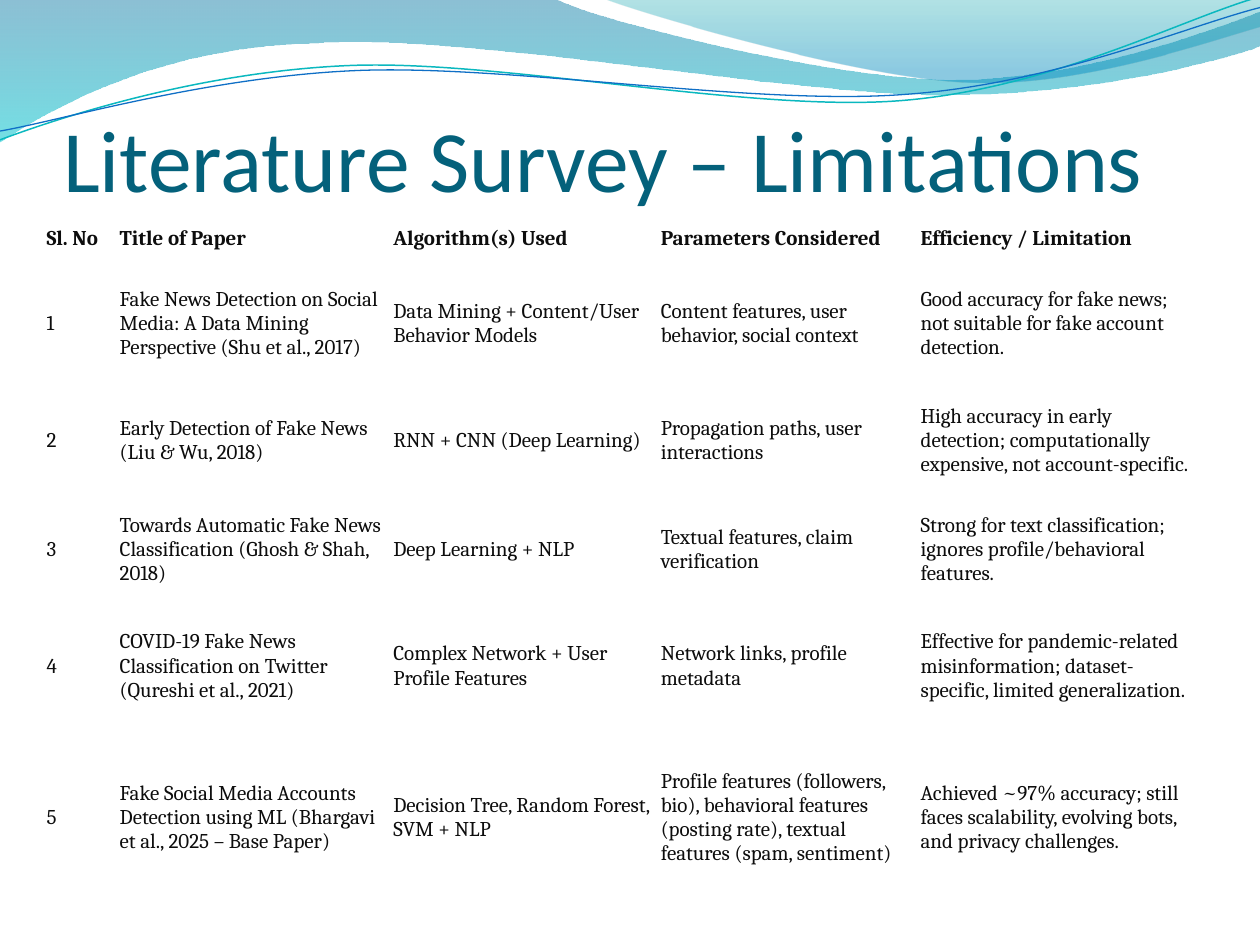
from math import cos, radians, sin

from lxml import etree
from pptx import Presentation
from pptx.dml.color import RGBColor
from pptx.enum.text import MSO_ANCHOR, MSO_AUTO_SIZE, PP_ALIGN
from pptx.oxml.ns import qn
from pptx.util import Inches, Pt

MIDDLE, BOTTOM = MSO_ANCHOR.MIDDLE, MSO_ANCHOR.BOTTOM
LEFT = PP_ALIGN.LEFT
NO_FIT = MSO_AUTO_SIZE.NONE

TITLE_TEAL = RGBColor(0x04, 0x61, 0x7B)
INK = RGBColor(0x0D, 0x0D, 0x0D)
DEEP_BLUE = RGBColor(0x00, 0x74, 0xA1)
TURQUOISE = RGBColor(0x00, 0xC6, 0xCF)
TEAL = RGBColor(0x00, 0xA1, 0xA9)
SKY = RGBColor(0x00, 0x8B, 0xBF)
LINE_TEAL = RGBColor(0x0A, 0xB8, 0xBF)
LINE_BLUE = RGBColor(0x0F, 0x6F, 0xC6)

STRAND_TILT = -2.7
STRAND_CENTER = (4.99, 0.58)

# Each outline is a start point, then line ends (2 numbers) or Bezier curves (6)
BROAD_WAVE = [
    (0, 0), (4.4, -0.01),
    (4.76, 0.17, 6.64, 0.63, 7.58, 0.63), (8.53, 0.63, 9.58, 0.26, 10, 0.09),
    (10.01, 0.36),
    (9.83, 0.44, 8.7, 0.76, 7.46, 0.75), (6.22, 0.75, 3.82, 0.28, 2.57, 0.34),
    (1.29, 0.36, 0.46, 0.83, -0.01, 1.13),
]
RIGHT_WAVE = [
    (4.79, -0.01),
    (5.09, 0.11, 6.82, 0.62, 7.69, 0.65), (8.56, 0.69, 9.61, 0.32, 10, 0.21),
    (10, 0),
]
TEAL_STRAND = [
    (0, 1.11),
    (0.48, 0.93, 1.58, 0.57, 2.77, 0.52), (3.95, 0.47, 5.93, 0.89, 7.13, 0.8),
    (8.33, 0.71, 9.38, 0.15, 9.98, -0.02),
]
BLUE_STRAND = [
    (0, 1.04),
    (0.47, 0.96, 1.64, 0.61, 2.83, 0.56), (4.03, 0.51, 5.97, 0.84, 7.17, 0.75),
    (8.36, 0.67, 9.41, 0.21, 10, 0.06),
]

COLUMN_WIDTHS = [0.58, 2.17, 2.12, 2.06, 2.23]
ROW_HEIGHTS = [0.45, 0.9, 0.96, 0.78, 1.07, 1.34]
SURVEY = [
    ["Sl. No", "Title of Paper", "Algorithm(s) Used", "Parameters Considered",
     "Efficiency / Limitation"],
    ["1", "Fake News Detection on Social Media: A Data Mining Perspective (Shu et al., 2017)",
     "Data Mining + Content/User Behavior Models",
     "Content features, user behavior, social context",
     "Good accuracy for fake news; not suitable for fake account detection."],
    ["2", "Early Detection of Fake News (Liu & Wu, 2018)",
     "RNN + CNN (Deep Learning)",
     "Propagation paths, user interactions",
     "High accuracy in early detection; computationally expensive, not account-specific."],
    ["3", "Towards Automatic Fake News Classification (Ghosh & Shah, 2018)",
     "Deep Learning + NLP",
     "Textual features, claim verification",
     "Strong for text classification; ignores profile/behavioral features."],
    ["4", "COVID-19 Fake News Classification on Twitter (Qureshi et al., 2021)",
     "Complex Network + User Profile Features",
     "Network links, profile metadata",
     "Effective for pandemic-related misinformation; dataset-specific, "
     "limited generalization."],
    ["5", "Fake Social Media Accounts Detection using ML (Bhargavi et al., 2025 – Base Paper)",
     "Decision Tree, Random Forest, SVM + NLP",
     "Profile features (followers, bio), behavioral features (posting rate), "
     "textual features (spam, sentiment)",
     "Achieved ~97% accuracy; still faces scalability, evolving bots, "
     "and privacy challenges."],
]


def write_text(tf, text, *, size, font, color, bold=False):
    tf.word_wrap = True
    p = tf.paragraphs[0]
    p.alignment = LEFT
    r = p.add_run()
    r.text = text
    r.font.size = Pt(size)
    r.font.name = font
    r.font.bold = bold
    r.font.color.rgb = color


def level_point(x, y, tilt):
    """Turn a point back by the tilt its shape will be given."""
    angle = radians(-tilt)
    cx, cy = STRAND_CENTER
    dx, dy = x - cx, y - cy
    return (Inches(cx + dx * cos(angle) - dy * sin(angle)),
            Inches(cy + dx * sin(angle) + dy * cos(angle)))


def add_outline(s, outline, left, top, closed, tilt=0):
    start, *rest = [level_point(*segment[i:i + 2], tilt)
                    for segment in outline for i in range(0, len(segment), 2)]
    builder = s.shapes.build_freeform(*start)
    builder.add_line_segments(rest, close=closed)
    sp = builder.convert_to_shape(left, top)
    sp.shadow.inherit = False
    sp.rotation = tilt
    # Join every three points of a curve into one Bezier segment
    lines = iter(list(sp.element.iter(qn("a:lnTo"))))
    for segment in outline[1:]:
        first = next(lines)
        if len(segment) == 6:
            curve = etree.Element(qn("a:cubicBezTo"))
            first.addprevious(curve)
            for line in (first, next(lines), next(lines)):
                curve.append(line[0])
                line.getparent().remove(line)
    return sp


def add_wave(s, outline, left, top, stops):
    sp = add_outline(s, outline, left, top, True)
    sp.line.fill.background()
    sp.fill.gradient()
    sp.fill.gradient_angle = 270
    for stop, (position, color, opacity) in zip(sp.fill.gradient_stops, stops):
        stop.position = position
        stop.color.rgb = color
    # Opacity of each gradient stop
    for clr, (_, _, opacity) in zip(sp.element.iter(qn("a:srgbClr")), stops):
        etree.SubElement(clr, qn("a:alpha"), val=str(opacity * 1000))


def add_strand(s, outline, left, top, color, width):
    sp = add_outline(s, outline, left, top, False, STRAND_TILT)
    sp.fill.background()
    sp.line.color.rgb = color
    sp.line.width = Pt(width)


def add_ribbon(s, left, top):
    add_wave(s, BROAD_WAVE, left, top, [(0, DEEP_BLUE, 45), (1, TURQUOISE, 55)])
    add_wave(s, RIGHT_WAVE, left, top, [(0, TEAL, 30), (0.8, SKY, 45)])
    add_strand(s, TEAL_STRAND, left, top, LINE_TEAL, 0.85)
    add_strand(s, BLUE_STRAND, left, top, LINE_BLUE, 0.75)


def add_title(s, left, top, width, height):
    title = s.shapes.title
    title.left, title.top, title.width, title.height = left, top, width, height
    tf = title.text_frame
    tf.auto_size = NO_FIT
    tf.vertical_anchor = BOTTOM
    tf.margin_left = tf.margin_right = tf.margin_bottom = 0
    tf.margin_top = Inches(0.05)
    write_text(tf, "Literature Survey – Limitations", size=50, font="Calibri",
               color=TITLE_TEAL)
    s.shapes.element.append(title.element)  # in front of the ribbon


def add_survey_table(s, left, top, width, height):
    table = s.shapes.add_table(len(SURVEY), len(COLUMN_WIDTHS),
                               left, top, width, height).table
    table.horz_banding = False
    for column, share in zip(table.columns, COLUMN_WIDTHS):
        column.width = int(width * share / sum(COLUMN_WIDTHS))
    for row, share in zip(table.rows, ROW_HEIGHTS):
        row.height = int(height * share / sum(ROW_HEIGHTS))
    for i, texts in enumerate(SURVEY):
        for cell, text in zip(table.rows[i].cells, texts):
            cell.fill.background()
            cell.vertical_anchor = MIDDLE
            cell.margin_left = cell.margin_right = Inches(0.04)
            cell.margin_top = cell.margin_bottom = Inches(0.02)
            write_text(cell.text_frame, text, size=12, font="Cambria",
                       color=INK, bold=i == 0)


def main():
    prs = Presentation()
    prs.slide_width, prs.slide_height = Inches(10), Inches(7.5)
    s = prs.slides.add_slide(prs.slide_layouts.get_by_name("Title Only"))
    add_ribbon(s, Inches(0), Inches(0))
    add_title(s, Inches(0.5), Inches(0.42), Inches(9), Inches(1.25))
    add_survey_table(s, Inches(0.33), Inches(1.67), Inches(9.17), Inches(5.49))
    prs.save("out.pptx")


if __name__ == "__main__":
    main()
